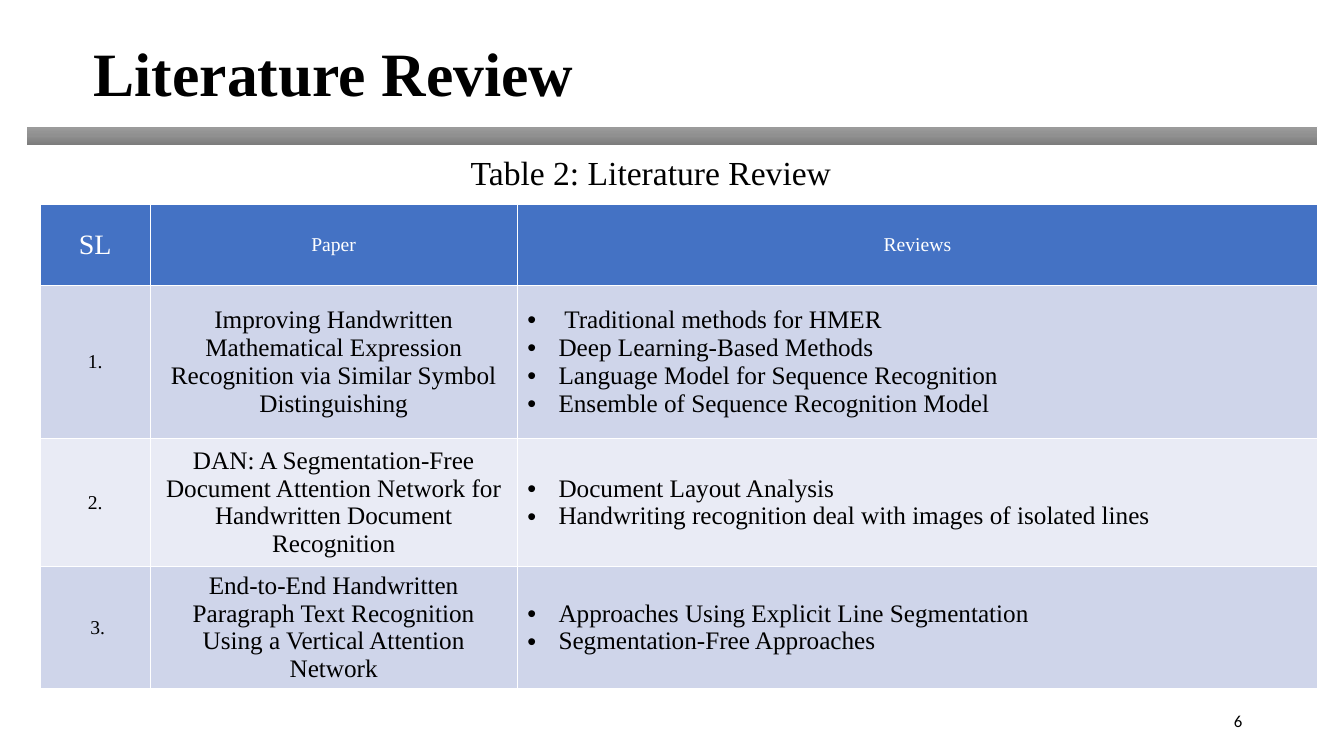
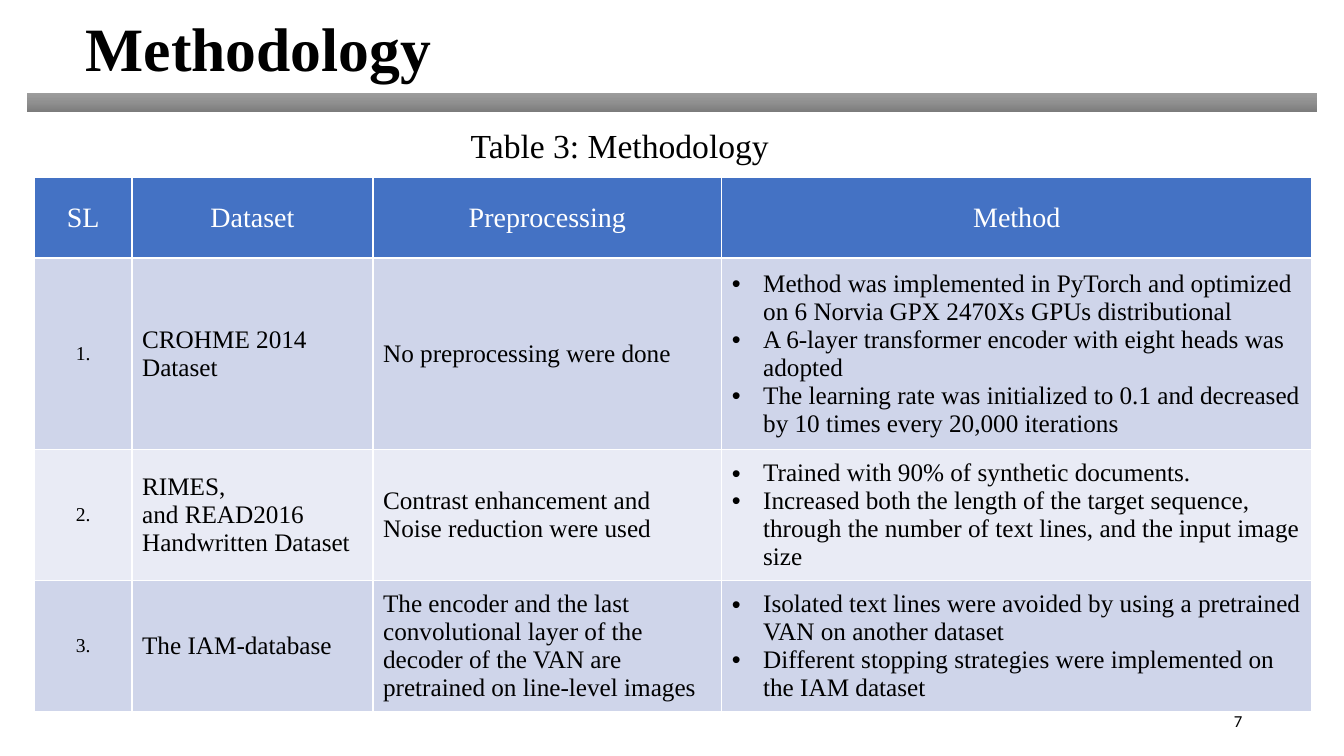
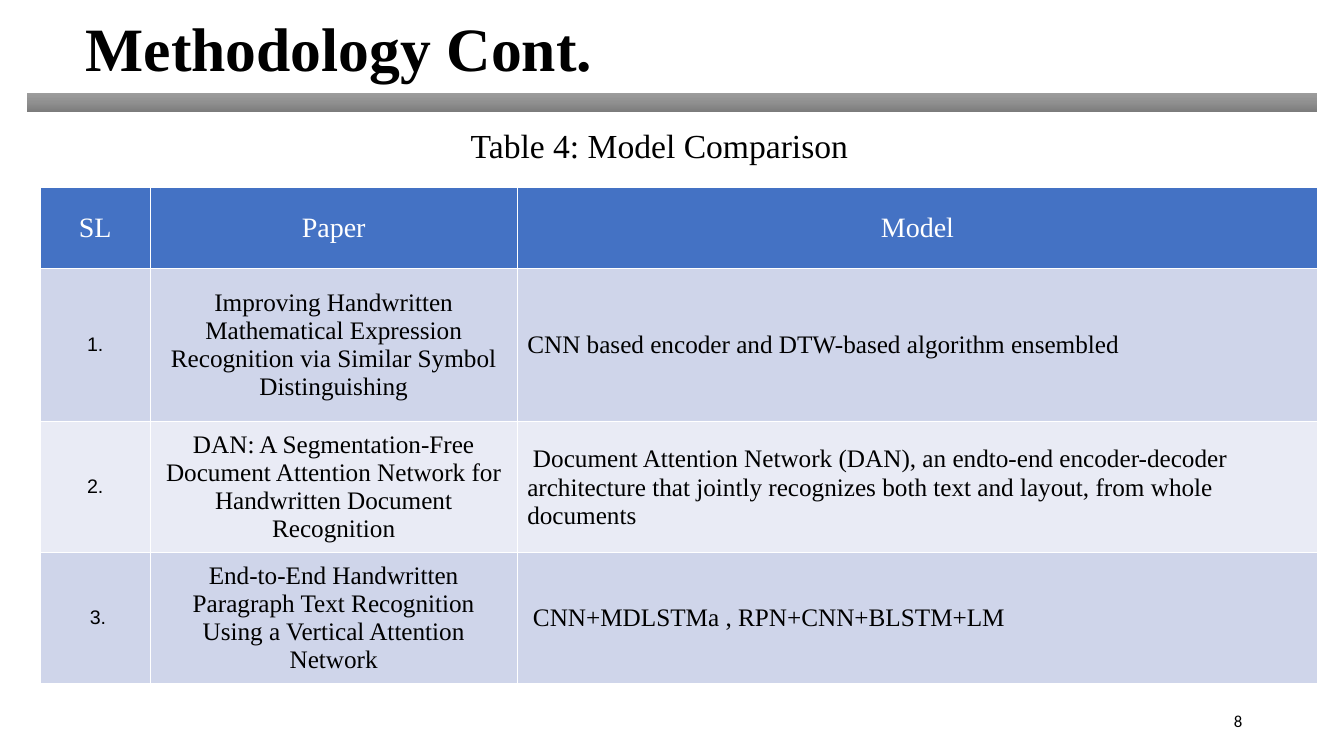
"""Build three slides of a literature review and its methodology tables."""
from copy import deepcopy
from dataclasses import dataclass

from lxml.etree import SubElement
from pptx import Presentation
from pptx.dml.color import RGBColor
from pptx.enum.shapes import MSO_SHAPE
from pptx.enum.text import MSO_ANCHOR, MSO_AUTO_SIZE, PP_ALIGN
from pptx.oxml.ns import qn
from pptx.util import Emu, Pt


@dataclass(frozen=True)
class Theme:
    serif: str = "Times New Roman"
    sans: str = "Calibri"
    plain: str = "Arial"
    ink: str = "000000"
    paper: str = "FFFFFF"
    header: str = "4472C4"
    stripes: tuple = ("CFD5EA", "E9EBF5")
    band: tuple = ("9D9D9D", "909090", "7C7C7C")
    title_size: int = 44
    caption_size: int = 24
    header_size: int = 20
    body_size: int = 18
    small_size: int = 14
    number_size: int = 12


THEME = Theme()
SCALE = 9144
BULLET_INDENT = 31
HARD_SPACE = chr(160)
LEFT, CENTER, RIGHT = PP_ALIGN.LEFT, PP_ALIGN.CENTER, PP_ALIGN.RIGHT

PAPERS = [
    "Improving Handwritten Mathematical Expression Recognition via Similar Symbol Distinguishing",
    "DAN: A Segmentation-Free Document Attention Network for Handwritten Document Recognition",
    "End-to-End Handwritten Paragraph Text Recognition Using a Vertical Attention Network",
]

SLIDES = [
    {
        "number": "6", "title": "Literature Review", "caption": "Table 2: Literature Review",
        "title_at": (83, 38), "band_top": 125, "caption_top": 146, "table_at": (40, 203),
        "columns": (109, 364, 794), "rows": (80, 152, 127, 121), "cell_margin": 0,
        "aligns": (CENTER, CENTER, LEFT), "label_font": THEME.serif,
        "header": ("SL", "Paper", "Reviews"),
        "header_sizes": (THEME.header_size, THEME.small_size, THEME.small_size),
        "body": [
            ("1.", PAPERS[0], [
                " Traditional methods for HMER",
                "Deep Learning-Based Methods",
                "Language Model for Sequence Recognition",
                "Ensemble of Sequence Recognition Model",
            ]),
            ("2.", PAPERS[1], [
                "Document Layout Analysis",
                "Handwriting recognition deal with images of isolated lines",
            ]),
            (" 3.", PAPERS[2], [
                "Approaches Using Explicit Line Segmentation",
                "Segmentation-Free Approaches",
            ]),
        ],
    },
    {
        "number": "7", "title": "Methodology", "caption": "Table 3: Methodology",
        "title_at": (75, 13), "band_top": 92, "caption_top": 119, "table_at": (34, 176),
        "columns": (97, 239, 346, 585), "rows": (80, 190, 130, 130), "cell_margin": 5,
        "aligns": (CENTER, LEFT, LEFT, LEFT), "label_font": THEME.serif,
        "header": ("SL", "Dataset", "Preprocessing", "Method"),
        "header_sizes": (THEME.header_size,) * 4,
        "body": [
            ("1.", "CROHME 2014 Dataset", "No preprocessing were done", [
                "Method was implemented in PyTorch and optimized on 6 Norvia GPX 2470Xs GPUs distributional",
                "A 6-layer transformer encoder with eight heads was adopted",
                "The learning rate was initialized to 0.1 and decreased by 10 times every 20,000 iterations",
            ]),
            ("2.", f"RIMES, and{HARD_SPACE}READ2016 Handwritten Dataset",
             "Contrast enhancement and Noise reduction were used", [
                 "Trained with 90% of synthetic documents.",
                 "Increased both the length of the target sequence, through the number of text lines, "
                 "and the input image size",
             ]),
            ("3.", "The IAM-database",
             "The encoder and the last convolutional layer of the decoder of the VAN are "
             "pretrained on line-level images", [
                 "Isolated text lines were avoided by using a pretrained VAN on another dataset",
                 "Different stopping strategies were implemented on the IAM dataset",
             ]),
        ],
    },
    {
        "number": "8", "title": "Methodology Cont.", "caption": "Table 4: Model Comparison",
        "title_at": (75, 13), "band_top": 92, "caption_top": 119, "table_at": (40, 186),
        "columns": (109, 364, 794), "rows": (80, 152, 130, 130), "cell_margin": 5,
        "aligns": (CENTER, CENTER, LEFT), "label_font": THEME.plain,
        "header": ("SL", "Paper", "Model"),
        "header_sizes": (THEME.header_size,) * 3,
        "body": [
            ("1.", PAPERS[0], "CNN based encoder and DTW-based algorithm ensembled"),
            ("2.", PAPERS[1], (
                (HARD_SPACE, THEME.sans),
                ("Document Attention Network (DAN), an endto-end encoder-decoder architecture that "
                 "jointly recognizes both text and layout, from whole documents", THEME.serif),
            )),
            (" 3.", PAPERS[2], (
                (HARD_SPACE, THEME.sans),
                (f"CNN+MDLSTMa ,{HARD_SPACE}RPN+CNN+BLSTM+LM", THEME.serif),
            )),
        ],
    },
]


def px(*lengths):
    return [Emu(length * SCALE) for length in lengths]


def format_span(span, size, font=THEME.serif, color=THEME.ink, bold=False):
    span.font.size = Pt(size)
    span.font.name = font
    span.font.bold = bold
    span.font.color.rgb = RGBColor.from_string(color)


def write(para, text, size, font=THEME.serif, color=THEME.ink, align=LEFT, bold=False):
    para.alignment = align
    spans = text if isinstance(text, tuple) else ((text, font),)
    for words, face in spans:
        span = para.add_run()
        span.text = words
        format_span(span, size, face, color, bold)


def add_bullet(para):
    indent = BULLET_INDENT * SCALE
    properties = para._p.get_or_add_pPr()
    properties.set("marL", str(indent))
    properties.set("indent", str(-indent))
    SubElement(properties, qn("a:buFont")).set("typeface", THEME.plain)
    SubElement(properties, qn("a:buChar")).set("char", "•")


def add_borders(cell):
    properties = cell._tc.get_or_add_tcPr()
    for index, side in enumerate(("a:lnL", "a:lnR", "a:lnT", "a:lnB")):
        line = SubElement(properties, qn(side))
        line.set("w", str(Pt(1)))
        fill = SubElement(line, qn("a:solidFill"))
        SubElement(fill, qn("a:srgbClr")).set("val", THEME.paper)
        properties.insert(index, line)


def fill_cell(cell, content, fill, size, margin, **style):
    cell.vertical_anchor = MSO_ANCHOR.MIDDLE
    cell.margin_top, cell.margin_bottom = px(margin, margin)
    cell.fill.solid()
    cell.fill.fore_color.rgb = RGBColor.from_string(fill)
    add_borders(cell)
    bulleted = isinstance(content, list)
    frame = cell.text_frame
    for index, text in enumerate(content if bulleted else [content]):
        para = frame.add_paragraph() if index else frame.paragraphs[0]
        write(para, text, size, **style)
        if bulleted:
            add_bullet(para)


def add_title(page, text, at):
    title = page.shapes.title
    title.left, title.top, title.width, title.height = px(*at, 699, 84)
    frame = title.text_frame
    frame.word_wrap = True
    frame.auto_size = MSO_AUTO_SIZE.NONE
    frame.vertical_anchor = MSO_ANCHOR.TOP
    para = frame.paragraphs[0]
    para.line_spacing = 0.9
    write(para, text, THEME.title_size, bold=True)


def add_band(page, top):
    band = page.shapes.add_shape(MSO_SHAPE.RECTANGLE, *px(26, top, 1281, 19))
    band.shadow.inherit = False
    band.line.color.rgb = RGBColor.from_string(THEME.paper)
    band.line.width = Pt(0.5)
    band.fill.gradient()
    band.fill.gradient_angle = 270
    stop_list = band._element.spPr.find(".//" + qn("a:gsLst"))
    stop_list.append(deepcopy(stop_list[0]))
    for index, (stop, color) in enumerate(zip(band.fill.gradient_stops, THEME.band)):
        stop.position = index / 2
        stop.color.rgb = RGBColor.from_string(color)


def add_text(page, text, at, size, anchor=MSO_ANCHOR.TOP, **style):
    box = page.shapes.add_textbox(*px(*at))
    box.text_frame.word_wrap = True
    box.text_frame.vertical_anchor = anchor
    write(box.text_frame.paragraphs[0], text, size, **style)


def add_table(page, content):
    columns, rows, margin = content["columns"], content["rows"], content["cell_margin"]
    place = px(*content["table_at"], sum(columns), sum(rows))
    table = page.shapes.add_table(len(rows), len(columns), *place).table
    table.first_row = table.horz_banding = False
    for column, width in zip(table.columns, px(*columns)):
        column.width = width
    for row, height in zip(table.rows, px(*rows)):
        row.height = height
    for index, (text, size) in enumerate(zip(content["header"], content["header_sizes"])):
        fill_cell(table.cell(0, index), text, THEME.header, size, margin,
                  color=THEME.paper, align=CENTER)
    for row_index, entries in enumerate(content["body"]):
        stripe = THEME.stripes[row_index % 2]
        for index, (entry, align) in enumerate(zip(entries, content["aligns"])):
            size = THEME.body_size if index else THEME.small_size
            font = THEME.serif if index else content["label_font"]
            fill_cell(table.cell(row_index + 1, index), entry, stripe, size, margin,
                      font=font, align=align)


def main():
    deck = Presentation()
    deck.slide_width, deck.slide_height = px(1333, 750)
    for content in SLIDES:
        page = deck.slides.add_slide(deck.slide_layouts[5])
        add_title(page, content["title"], content["title_at"])
        add_band(page, content["band_top"])
        add_text(page, content["caption"], (457, content["caption_top"], 485, 50), THEME.caption_size)
        add_table(page, content)
        add_text(page, content["number"], (942, 695, 300, 40), THEME.number_size,
                 anchor=MSO_ANCHOR.MIDDLE, font=THEME.sans, align=RIGHT)
    deck.save("out.pptx")


if __name__ == "__main__":
    main()
